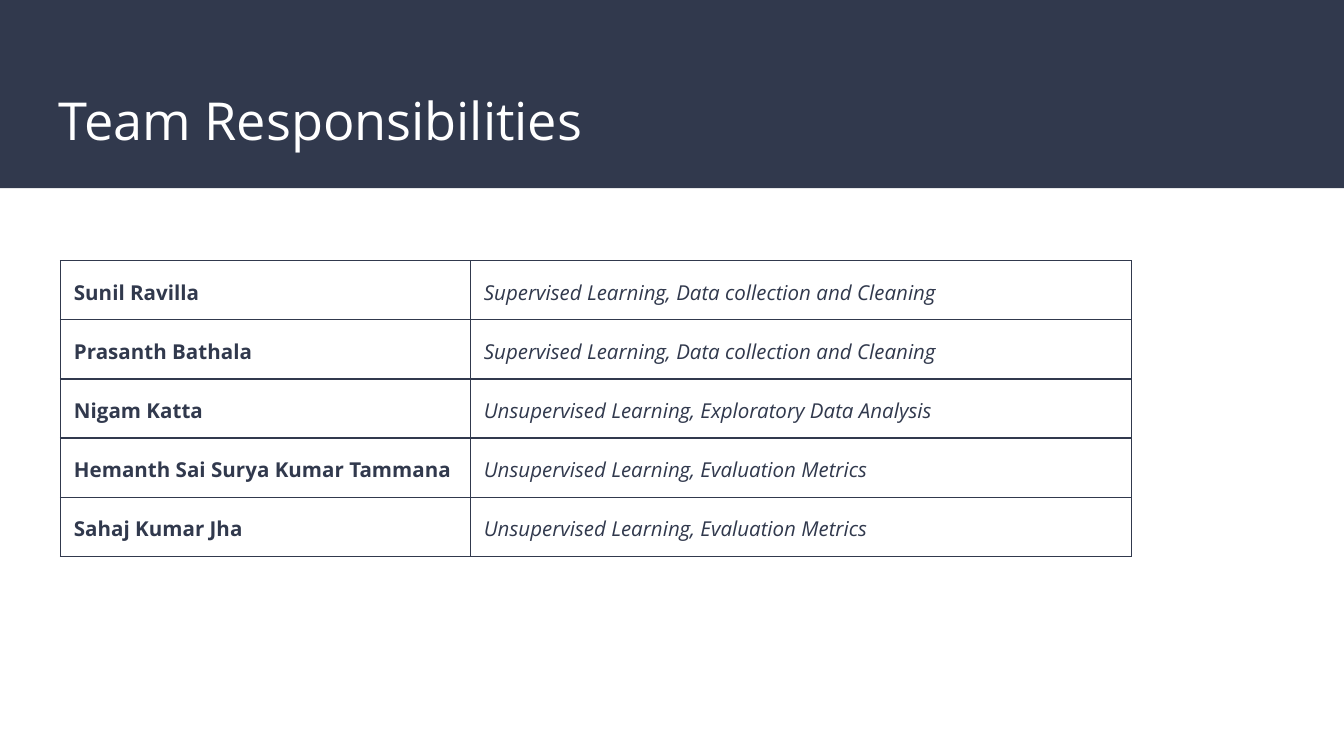
from lxml.etree import SubElement
from pptx import Presentation
from pptx.dml.color import RGBColor
from pptx.enum.shapes import MSO_SHAPE
from pptx.enum.text import MSO_ANCHOR
from pptx.oxml.ns import qn
from pptx.util import Inches, Pt

NAVY = RGBColor(0x31, 0x39, 0x4D)
WHITE = RGBColor(0xFF, 0xFF, 0xFF)
FONT = "Open Sans"
INSET = Inches(0.1)
SLIDE_WIDTH = 10
COLUMN_WIDTHS = (3.05, 4.92)
ROW_HEIGHT = 0.44

RESPONSIBILITIES = [
    ("Sunil Ravilla", "Supervised Learning, Data collection and Cleaning"),
    ("Prasanth Bathala", "Supervised Learning, Data collection and Cleaning"),
    ("Nigam Katta", "Unsupervised Learning, Exploratory Data Analysis"),
    ("Hemanth Sai Surya Kumar Tammana", "Unsupervised Learning, Evaluation Metrics"),
    ("Sahaj Kumar Jha", "Unsupervised Learning, Evaluation Metrics"),
]


def write_text(frame, text, size, color, bold=False, italic=False, spacing=1.0):
    """Put one formatted run of text into a text frame."""
    paragraph = frame.paragraphs[0]
    paragraph.line_spacing = spacing
    run = paragraph.add_run()
    run.text = text
    run.font.name = FONT
    run.font.size = Pt(size)
    run.font.color.rgb = color
    run.font.bold = bold
    run.font.italic = italic


def set_insets(holder):
    """Give a text frame or table cell equal margins on all sides."""
    holder.margin_left = holder.margin_right = INSET
    holder.margin_top = holder.margin_bottom = INSET


def add_header(slide, text):
    """Draw the header band and the title on it."""
    band = slide.shapes.add_shape(
        MSO_SHAPE.RECTANGLE, 0, 0, Inches(SLIDE_WIDTH), Inches(1.4)
    )
    band.shadow.inherit = False
    band.fill.solid()
    band.fill.fore_color.rgb = NAVY
    band.line.fill.background()

    title = slide.shapes.add_textbox(
        Inches(0.34), Inches(0.55), Inches(9.32), Inches(0.68)
    ).text_frame
    title.word_wrap = True
    title.vertical_anchor = MSO_ANCHOR.MIDDLE
    set_insets(title)
    write_text(title, text, size=28, color=WHITE)


def outline_cell(cell):
    """Draw a thin navy border on every side of a cell."""
    properties = cell._tc.get_or_add_tcPr()
    for position, side in enumerate(("lnL", "lnR", "lnT", "lnB")):
        border = SubElement(properties, qn(f"a:{side}"), w=str(Pt(0.75)))
        fill = SubElement(border, qn("a:solidFill"))
        SubElement(fill, qn("a:srgbClr"), val=str(NAVY))
        properties.insert(position, border)


def add_responsibilities(slide, rows):
    """Add the table of members and their tasks."""
    table = slide.shapes.add_table(
        len(rows), len(COLUMN_WIDTHS), Inches(0.45), Inches(1.94),
        Inches(sum(COLUMN_WIDTHS)), Inches(ROW_HEIGHT * len(rows)),
    ).table
    table.first_row = False
    table.horz_banding = False
    for column, width in zip(table.columns, COLUMN_WIDTHS):
        column.width = Inches(width)
    for table_row, entry in zip(table.rows, rows):
        table_row.height = Inches(ROW_HEIGHT)
        for index, (cell, text) in enumerate(zip(table_row.cells, entry)):
            set_insets(cell)
            cell.fill.background()
            outline_cell(cell)
            write_text(cell.text_frame, text, size=11, color=NAVY,
                       bold=index == 0, italic=index == 1, spacing=1.15)


def main():
    """Build the slide and save it."""
    presentation = Presentation()
    presentation.slide_width = Inches(SLIDE_WIDTH)
    presentation.slide_height = Inches(SLIDE_WIDTH * 9 / 16)
    slide = presentation.slides.add_slide(presentation.slide_layouts[6])
    add_header(slide, "Team Responsibilities")
    add_responsibilities(slide, RESPONSIBILITIES)
    presentation.save("out.pptx")


if __name__ == "__main__":
    main()
